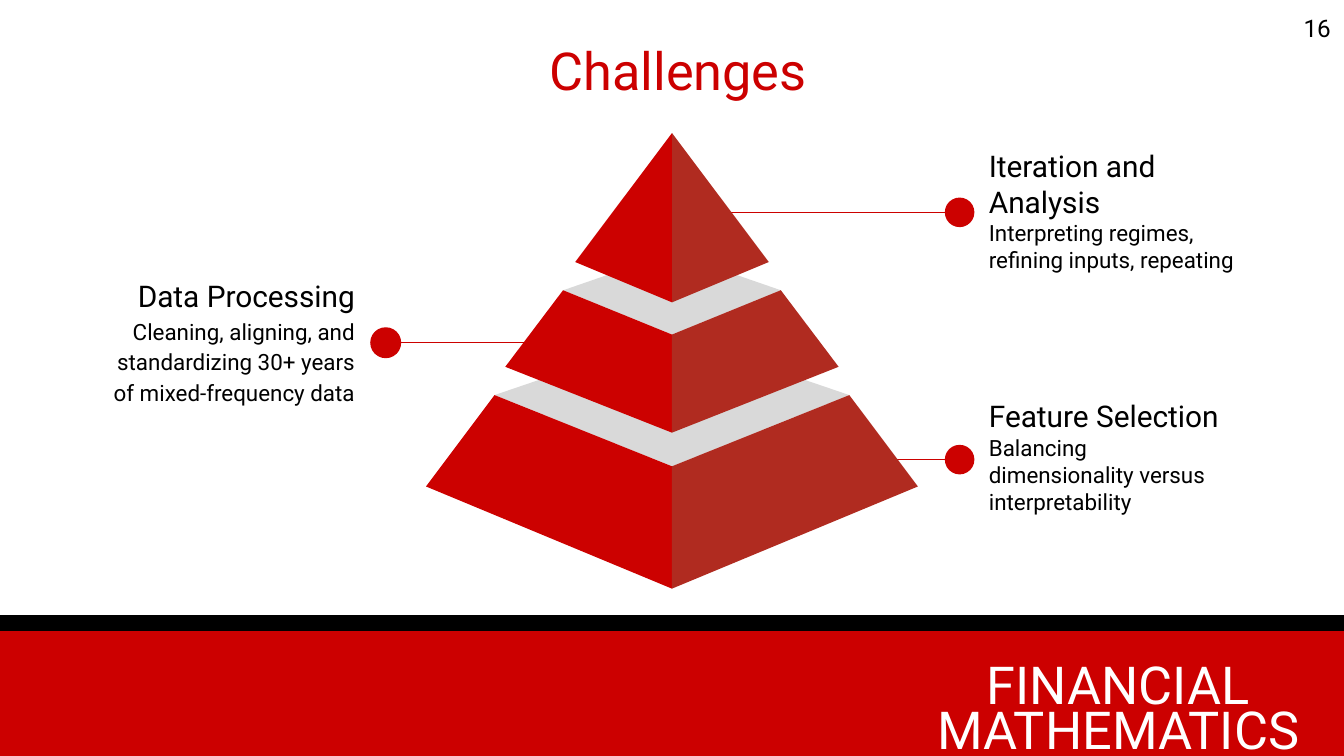
from lxml import etree
from pptx import Presentation
from pptx.dml.color import RGBColor
from pptx.enum.shapes import MSO_CONNECTOR, MSO_SHAPE
from pptx.enum.text import MSO_ANCHOR as ANCHOR, MSO_AUTO_SIZE as AUTOSIZE, PP_ALIGN as ALIGN
from pptx.oxml.ns import qn
from pptx.util import Inches, Pt

RED = RGBColor(0xCC, 0x00, 0x00)
BRIGHT_RED = RGBColor(0xCC, 0x01, 0x00)
DARK_RED = RGBColor(0xB0, 0x2B, 0x20)
GRAY = RGBColor(0xD9, 0xD9, 0xD9)
BLACK = RGBColor(0x00, 0x00, 0x00)
WHITE = RGBColor(0xFF, 0xFF, 0xFF)

deck = Presentation()
deck.slide_width = Inches(10)
deck.slide_height = deck.slide_width * 9 // 16
page = deck.slides.add_slide(deck.slide_layouts[6])


def paint(shape, fill, line=None, width=1):
    shape.shadow.inherit = False
    shape.fill.solid()
    shape.fill.fore_color.rgb = fill
    if line is None:
        shape.line.fill.background()
    else:
        shape.line.color.rgb = line
        shape.line.width = Pt(width)


def add_text(place, paragraphs, color, inset=0.1, **frame_format):
    box = page.shapes.add_textbox(*map(Inches, place))
    frame = box.text_frame
    settings = {"word_wrap": True, "margin_top": Inches(inset), "margin_bottom": Inches(inset)}
    for name, value in {**settings, **frame_format}.items():
        setattr(frame, name, value)
    for index, (text, size, para_format) in enumerate(paragraphs):
        para = frame.add_paragraph() if index else frame.paragraphs[0]
        para.text = text
        for name, value in para_format.items():
            setattr(para, name, value)
        for span in para.runs:
            for name, value in {"name": "Roboto", "size": Pt(size)}.items():
                setattr(span.font, name, value)
            span.font.color.rgb = color


for top, height, color in [(4.58, 0.13, BLACK), (4.7, 0.92, RED)]:
    band = page.shapes.add_shape(
        MSO_SHAPE.RECTANGLE, Inches(0), Inches(top), Inches(10), Inches(height))
    paint(band, color, color)

add_text((6.73, 4.93, 3.18, 0.77),
         [("FINANCIAL\vMATHEMATICS", 28, {"alignment": ALIGN.CENTER, "line_spacing": 0.71})],
         WHITE, 0.05, auto_size=AUTOSIZE.SHAPE_TO_FIT_TEXT)
add_text((0.17, 0, 9.75, 1.09),
         [("Challenges", 28, {"alignment": ALIGN.CENTER, "line_spacing": 0.9})],
         RED, 0.05, vertical_anchor=ANCHOR.MIDDLE)
add_text((9.4, 0, 0.6, 0.43), [("16", 13, {"alignment": ALIGN.RIGHT})], BLACK)

right_label = {"space_after": Pt(16)}
left_label = {"alignment": ALIGN.RIGHT, "line_spacing": 1.15}
callouts = [
    ("Feature Selection", "Balancing dimensionality versus interpretability",
     7.26, 2.64, ALIGN.LEFT, right_label, 6.6, 7.24, 7.03, 3.42),
    ("Data Processing",
     "Cleaning, aligning, and standardizing 30+ years of mixed-frequency data",
     0.7, 1.79, ALIGN.RIGHT, left_label, 3.97, 2.83, 2.76, 2.55),
    ("Iteration and Analysis", "Interpreting regimes, refining inputs, repeating",
     7.26, 0.81, ALIGN.LEFT, right_label, 5.37, 7.24, 7.03, 1.58),
]
for heading, detail, left, top, align, detail_format, start, end, dot_left, y in callouts:
    leader = page.shapes.add_connector(
        MSO_CONNECTOR.STRAIGHT, Inches(start), Inches(y), Inches(end), Inches(y))
    leader.line.color.rgb = BRIGHT_RED
    leader.line.width = Pt(0.75)
    etree.SubElement(leader._element.spPr, qn("a:effectLst"))
    add_text((left, top, 2.04, 1.51),
             [(heading, 16, {"alignment": align}), (detail, 12, detail_format)],
             BLACK, vertical_anchor=ANCHOR.MIDDLE)
    dot = page.shapes.add_shape(
        MSO_SHAPE.OVAL, Inches(dot_left), Inches(y - 0.11), Inches(0.22), Inches(0.22))
    outline = BRIGHT_RED if align == ALIGN.RIGHT else None
    paint(dot, BRIGHT_RED, outline, 0.75)

center = 5
tiers = [
    (1.32, 2.94, 3.47, 1.83, 3.62, 4.38, 2.49),
    (0.81, 2.16, 2.49, 1.24, 2.73, 3.22, 1.88),
    (0, 0.99, 0.99, 0.72, 1.95, 2.25, None),
]
for top_half, top_y, ridge_y, base_half, base_y, tip_y, back_y in tiers:
    faces = []
    if back_y:
        faces.append((GRAY, [(center - top_half, top_y), (center, ridge_y),
                             (center + top_half, top_y), (center, back_y)]))
    for side, color in [(-1, BRIGHT_RED), (1, DARK_RED)]:
        faces.append((color, [(center + side * top_half, top_y),
                              (center + side * base_half, base_y),
                              (center, tip_y), (center, ridge_y)]))
    for color, points in faces:
        corners = [(Inches(x), Inches(y)) for x, y in points]
        builder = page.shapes.build_freeform(*corners[0])
        builder.add_line_segments(corners[1:], close=True)
        paint(builder.convert_to_shape(), color)

deck.save("out.pptx")
